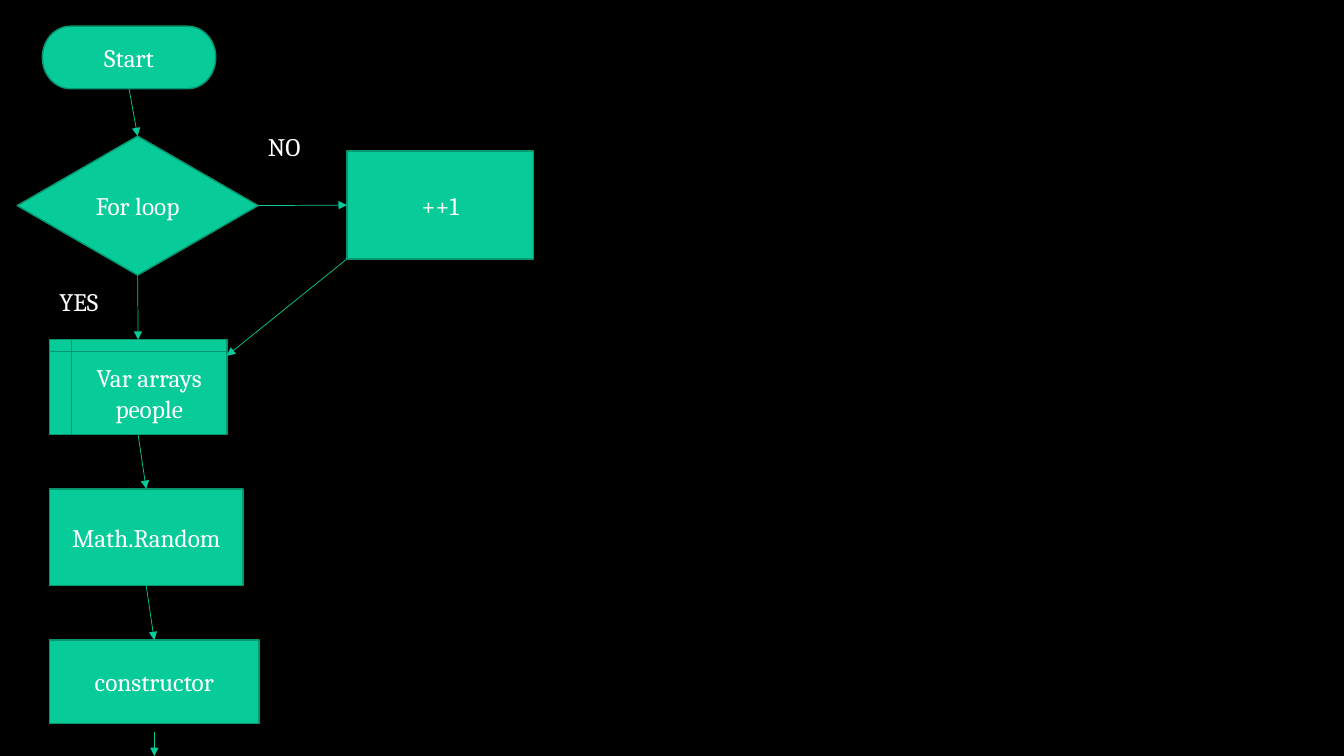
"""Build a flowchart slide of a loop that fills an array of people."""
import pptx
import pptx.util
import pptx.dml.color
import pptx.enum.shapes
import pptx.enum.text
import pptx.oxml
import pptx.oxml.ns

Inches = pptx.util.Inches
Pt = pptx.util.Pt
SHAPE = pptx.enum.shapes.MSO_SHAPE
COLORS = {"back": "000000", "green": "07CB98", "edge": "059670", "text": "FFFFFF"}
TOP, LEFT, BOTTOM, RIGHT = range(4)


def rgb(name):
    return pptx.dml.color.RGBColor.from_string(COLORS[name])


def write(tf, text, size=18, font="Cambria", color="text", align="CENTER",
          anchor="MIDDLE", wrap=True):
    tf.word_wrap = wrap
    tf.vertical_anchor = getattr(pptx.enum.text.MSO_ANCHOR, anchor)
    for i, line in enumerate(text.split("\n")):
        p = tf.add_paragraph() if i else tf.paragraphs[0]
        p.alignment = getattr(pptx.enum.text.PP_ALIGN, align)
        r = p.add_run()
        r.text = line
        r.font.size = Pt(size)
        r.font.name = font
        r.font.color.rgb = rgb(color)


class Flowchart:
    def __init__(self, s):
        self.s = s
        s.background.fill.solid()
        s.background.fill.fore_color.rgb = rgb("back")

    def step(self, kind, text, *box):
        sp = self.s.shapes.add_shape(kind, *map(Inches, box))
        sp.shadow.inherit = False
        sp.fill.solid()
        sp.fill.fore_color.rgb = rgb("green")
        sp.line.color.rgb = rgb("edge")
        sp.line.width = Pt(1)
        write(sp.text_frame, text)
        return sp

    def label(self, text, *box):
        sp = self.s.shapes.add_textbox(*map(Inches, box))
        write(sp.text_frame, text, align="LEFT", anchor="TOP", wrap=False)

    def arrow(self, *ends):
        c = self.s.shapes.add_connector(
            pptx.enum.shapes.MSO_CONNECTOR.STRAIGHT, *map(Inches, ends))
        c.line.color.rgb = rgb("green")
        c.line.width = Pt(0.5)
        tail = pptx.oxml.parse_xml(
            f'<a:tailEnd {pptx.oxml.ns.nsdecls("a")} type="triangle"/>')
        c.line._get_or_add_ln().append(tail)
        c._element.spPr.append(pptx.oxml.parse_xml(
            f'<a:effectLst {pptx.oxml.ns.nsdecls("a")}/>'))
        return c

    def link(self, first, second, start=BOTTOM, end=TOP):
        c = self.arrow(0, 0, 0, 0)
        c.begin_connect(first, start)
        c.end_connect(second, end)


def main():
    prs = pptx.Presentation()
    prs.slide_width, prs.slide_height = Inches(13.33), Inches(7.5)
    chart = Flowchart(prs.slides.add_slide(prs.slide_layouts[6]))

    start = chart.step(SHAPE.FLOWCHART_TERMINATOR, "Start", 0.42, 0.26, 1.72, 0.62)
    loop = chart.step(SHAPE.FLOWCHART_DECISION, "For loop", 0.17, 1.35, 2.39, 1.38)
    people = chart.step(SHAPE.FLOWCHART_INTERNAL_STORAGE, "Var arrays\npeople",
                        0.49, 3.37, 1.76, 0.94)
    random = chart.step(SHAPE.RECTANGLE, "Math.Random", 0.49, 4.85, 1.92, 0.96)
    constructor = chart.step(SHAPE.FLOWCHART_PROCESS, "constructor",
                             0.49, 6.35, 2.08, 0.83)
    increment = chart.step(SHAPE.FLOWCHART_PROCESS, "++1", 3.44, 1.5, 1.85, 1.07)

    column = [start, loop, people, random, constructor]
    for first, second in zip(column, column[1:]):
        chart.link(first, second)
    chart.link(loop, increment, RIGHT, LEFT)
    chart.arrow(3.44, 2.57, 2.25, 3.53)
    chart.arrow(1.53, 7.26, 1.53, 7.5)

    chart.label("NO", 2.56, 1.25, 0.64, 0.4)
    chart.label("YES", 0.49, 2.79, 0.67, 0.4)
    prs.save("out.pptx")


if __name__ == "__main__":
    main()
